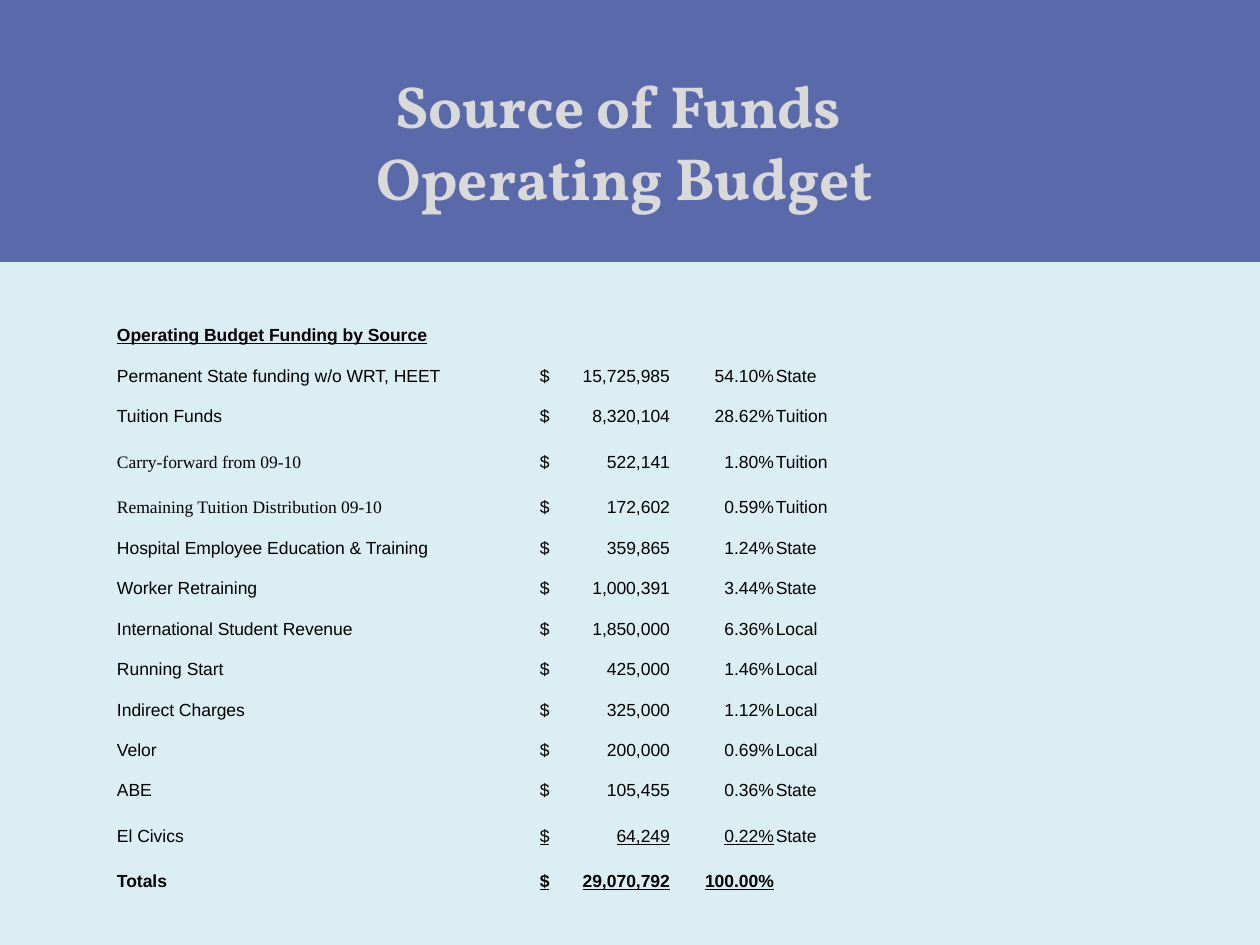
import pptx
import pptx.dml.color
import pptx.enum.shapes
import pptx.enum.text
import pptx.oxml
import pptx.oxml.ns
import pptx.util

RGBColor = pptx.dml.color.RGBColor
ALIGN = pptx.enum.text.PP_ALIGN

PX = 914400 / 126
BACKGROUND = RGBColor(0xDB, 0xEE, 0xF4)
BAND = RGBColor(0x5A, 0x69, 0xAA)
TITLE = RGBColor(0xD9, 0xD9, 0xD9)
BLACK = RGBColor(0x00, 0x00, 0x00)

SERIF = "Times New Roman"
PLAIN_TABLE_STYLE = "{2D5ABB26-0587-4C30-8999-92F81FD0307C}"
COLUMN_WIDTHS = [394, 24, 144, 24, 73, 401]
ROW_HEIGHTS = [31, 41, 40, 46, 45, 41, 40, 41, 40, 41, 41, 40, 46, 45]
LABEL, AMOUNT, SHARE, SOURCE = 0, 2, 4, 5
AMOUNT_TAB = 130

FUNDS = [
    ("Permanent State funding w/o WRT, HEET", "15,725,985", "54.10%", "State"),
    ("Tuition Funds", "8,320,104", "28.62%", "Tuition"),
    ("Carry-forward from 09-10", "522,141", "1.80%", "Tuition"),
    ("Remaining Tuition Distribution 09-10", "172,602", "0.59%", "Tuition"),
    ("Hospital Employee Education & Training", "359,865", "1.24%", "State"),
    ("Worker Retraining", "1,000,391", "3.44%", "State"),
    ("International Student Revenue", "1,850,000", "6.36%", "Local"),
    ("Running Start", "425,000", "1.46%", "Local"),
    ("Indirect Charges", "325,000", "1.12%", "Local"),
    ("Velor", "200,000", "0.69%", "Local"),
    ("ABE", "105,455", "0.36%", "State"),
    ("El Civics", "64,249", "0.22%", "State"),
    ("Totals", "29,070,792", "100.00%", ""),
]
SERIF_LABELS = {"Carry-forward from 09-10", "Remaining Tuition Distribution 09-10"}
UNDERLINED_FIGURES = {"El Civics", "Totals"}


def px(length):
    return pptx.util.Emu(round(length * PX))


def write(para, text, font="Arial", size=10, color=BLACK, bold=False,
          underline=False, align=ALIGN.LEFT):
    para.alignment = align
    span = para.add_run()
    span.text = text
    span.font.name = font
    span.font.size = pptx.util.Pt(size)
    span.font.color.rgb = color
    span.font.bold = bold
    span.font.underline = underline


def add_band(page):
    band = page.shapes.add_shape(
        pptx.enum.shapes.MSO_SHAPE.RECTANGLE, 0, 0, px(1260), px(262))
    band.shadow.inherit = False
    band.fill.solid()
    band.fill.fore_color.rgb = BAND
    band.line.fill.background()


def add_title(page, lines):
    box = page.shapes.add_textbox(px(147), px(63), px(955), px(158))
    frame = box.text_frame
    frame.word_wrap = True
    frame.auto_size = pptx.enum.text.MSO_AUTO_SIZE.SHAPE_TO_FIT_TEXT
    for index, line in enumerate(lines):
        para = frame.add_paragraph() if index else frame.paragraphs[0]
        write(para, line, font="Vollkorn", size=34, color=TITLE, bold=True,
              align=ALIGN.CENTER)


def prepare_cell(cell):
    """Clear the fill, tighten the margins and keep an empty cell's line small."""
    cell.fill.background()
    cell.vertical_anchor = pptx.enum.text.MSO_ANCHOR.BOTTOM
    cell.margin_left = cell.margin_right = cell.margin_top = px(1)
    cell.margin_bottom = 0
    end = cell.text_frame.paragraphs[0]._p.get_or_add_endParaRPr()
    end.set("sz", "1000")


def set_right_tab(para, position):
    tabs = pptx.oxml.parse_xml(
        f'<a:tabLst {pptx.oxml.ns.nsdecls("a")}>'
        f'<a:tab pos="{px(position)}" algn="r"/></a:tabLst>')
    para._p.get_or_add_pPr().append(tabs)


def fill_fund_row(table, row, fund):
    label, amount, share, source = fund
    bold = label == "Totals"
    underline = label in UNDERLINED_FIGURES

    def para_at(column):
        return table.cell(row, column).text_frame.paragraphs[0]

    write(para_at(LABEL), label, bold=bold,
          font=SERIF if label in SERIF_LABELS else "Arial")
    table.cell(row, AMOUNT).margin_left = px(6)
    write(para_at(AMOUNT), f"$\t{amount}", bold=bold, underline=underline)
    set_right_tab(para_at(AMOUNT), AMOUNT_TAB)
    write(para_at(SHARE), share, bold=bold, underline=underline, align=ALIGN.RIGHT)
    if source:
        write(para_at(SOURCE), source)


def add_fund_table(page):
    frame = page.shapes.add_table(
        len(ROW_HEIGHTS), len(COLUMN_WIDTHS), px(116), px(314),
        px(sum(COLUMN_WIDTHS)), px(sum(ROW_HEIGHTS)))
    table = frame.table
    table.first_row = table.horz_banding = False
    style = table._tbl.tblPr.find(pptx.oxml.ns.qn("a:tableStyleId"))
    style.text = PLAIN_TABLE_STYLE
    for column, width in zip(table.columns, COLUMN_WIDTHS):
        column.width = px(width)
    for row, height in zip(table.rows, ROW_HEIGHTS):
        row.height = px(height)
    for cell in table.iter_cells():
        prepare_cell(cell)
    write(table.cell(0, LABEL).text_frame.paragraphs[0],
          "Operating Budget Funding by Source", bold=True, underline=True)
    for row, fund in enumerate(FUNDS, start=1):
        fill_fund_row(table, row, fund)


def main():
    deck = pptx.Presentation()
    deck.slide_width, deck.slide_height = px(1260), px(945)
    page = deck.slides.add_slide(deck.slide_layouts[6])
    page.background.fill.solid()
    page.background.fill.fore_color.rgb = BACKGROUND
    add_band(page)
    add_title(page, ["Source of Funds ", "Operating Budget"])
    add_fund_table(page)
    deck.save("out.pptx")


if __name__ == "__main__":
    main()
